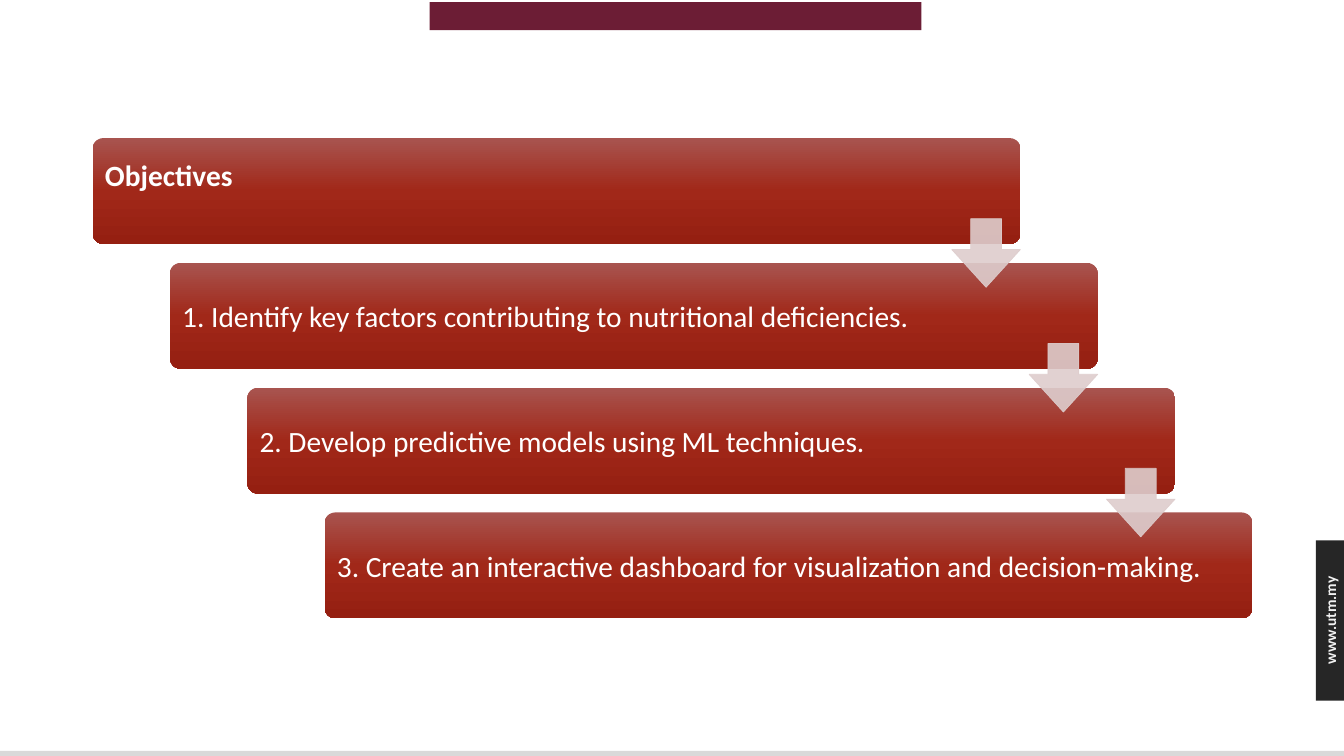
"""Build the Objectives slide as a descending staircase of steps."""
from copy import deepcopy

from lxml.etree import SubElement
from pptx import Presentation
from pptx.dml.color import RGBColor
from pptx.enum.shapes import MSO_SHAPE
from pptx.enum.text import MSO_ANCHOR, PP_ALIGN
from pptx.oxml.ns import qn
from pptx.util import Inches, Pt

STEPS = [
    "Objectives",
    "1. Identify key factors contributing to nutritional deficiencies.",
    "2. Develop predictive models using ML techniques.",
    "3. Create an interactive dashboard for visualization and decision-making.",
]
GRADIENT = [(0, "A8544F"), (0.5, "A12819"), (1, "951F11")]
STEP_LEFT, STEP_TOP = 0.92, 1.37
STEP_WIDTH, STEP_HEIGHT = 9.2, 1.05
STEP_RIGHT, STEP_DOWN = 0.767, 1.238
ARROW_SIZE = 0.68


def color(hex_code):
    """Return the colour for a hex string."""
    return RGBColor.from_string(hex_code)


def add_shape(slide, kind, left, top, width, height, adjustments=()):
    """Add a preset shape without shadow or outline."""
    shape = slide.shapes.add_shape(
        kind, Inches(left), Inches(top), Inches(width), Inches(height)
    )
    shape.shadow.inherit = False
    shape.line.fill.background()
    for index, value in enumerate(adjustments):
        shape.adjustments[index] = value
    return shape


def add_bar(slide, left, top, width, height, fill):
    """Add a plain rectangle."""
    bar = add_shape(slide, MSO_SHAPE.RECTANGLE, left, top, width, height)
    bar.fill.solid()
    bar.fill.fore_color.rgb = color(fill)


def add_run(paragraph, text, size, fill, bold=False):
    """Add one formatted run to a paragraph."""
    run = paragraph.add_run()
    run.text = text
    run.font.name = "Calibri"
    run.font.size = Pt(size)
    run.font.bold = bold
    run.font.color.rgb = color(fill)


def apply_gradient(shape):
    """Fill a shape with the vertical three-stop gradient."""
    shape.fill.gradient()
    shape.fill.gradient_angle = 270
    stop_list = shape.element.spPr.find(".//" + qn("a:gsLst"))
    stop_list.append(deepcopy(stop_list[0]))
    for stop, (position, fill) in zip(shape.fill.gradient_stops, GRADIENT):
        stop.position = position
        stop.color.rgb = color(fill)


def add_step(slide, left, top, text, heading):
    """Add one step of the staircase with its text."""
    step = add_shape(slide, MSO_SHAPE.ROUNDED_RECTANGLE, left, top,
                     STEP_WIDTH, STEP_HEIGHT, [0.1])
    apply_gradient(step)
    frame = step.text_frame
    frame.word_wrap = True
    frame.vertical_anchor = MSO_ANCHOR.MIDDLE
    frame.margin_left = frame.margin_right = frame.margin_top = Inches(0.09)
    frame.margin_bottom = Inches(0.42 if heading else 0.09)
    paragraph = frame.paragraphs[0]
    paragraph.alignment = PP_ALIGN.LEFT
    add_run(paragraph, text, 21, "FFFFFF", heading)


def add_arrow(slide, left, top):
    """Add a translucent arrow pointing to the next step."""
    arrow = add_shape(slide, MSO_SHAPE.DOWN_ARROW, left, top,
                      ARROW_SIZE, ARROW_SIZE, [0.45, 0.55])
    arrow.line.width = Pt(0.5)
    for fill in (arrow.fill, arrow.line.fill):
        fill.solid()
        fill.fore_color.rgb = color("DECDCD")
    for fill_color in arrow.element.spPr.iter(qn("a:srgbClr")):
        SubElement(fill_color, qn("a:alpha"), val="90000")


def add_web_address(slide):
    """Add the web address reading upwards on the side tab."""
    box = slide.shapes.add_textbox(
        Inches(12.44), Inches(6.01), Inches(1.51), Inches(0.29)
    )
    box.rotation = 270
    box.text_frame.word_wrap = True
    paragraph = box.text_frame.paragraphs[0]
    paragraph.alignment = PP_ALIGN.CENTER
    add_run(paragraph, "www.utm.my", 11, "F2F2F2", True)


def main():
    """Build and save the slide."""
    presentation = Presentation()
    presentation.slide_width = Inches(13.33)
    presentation.slide_height = Inches(7.5)
    slide = presentation.slides.add_slide(presentation.slide_layouts[6])

    add_bar(slide, 4.26, 0.02, 4.88, 0.28, "6C1D35")
    add_bar(slide, 0, 7.45, 13.4, 0.12, "D9D9D9")
    add_bar(slide, 13.05, 5.36, 0.29, 1.59, "262626")
    add_web_address(slide)

    corners = [(STEP_LEFT + index * STEP_RIGHT, STEP_TOP + index * STEP_DOWN)
               for index in range(len(STEPS))]
    for index, (left, top) in enumerate(corners):
        add_step(slide, left, top, STEPS[index], heading=index == 0)
    for left, top in corners[:-1]:
        add_arrow(slide, left + STEP_WIDTH - ARROW_SIZE, top + 0.8)

    presentation.save("out.pptx")


if __name__ == "__main__":
    main()
